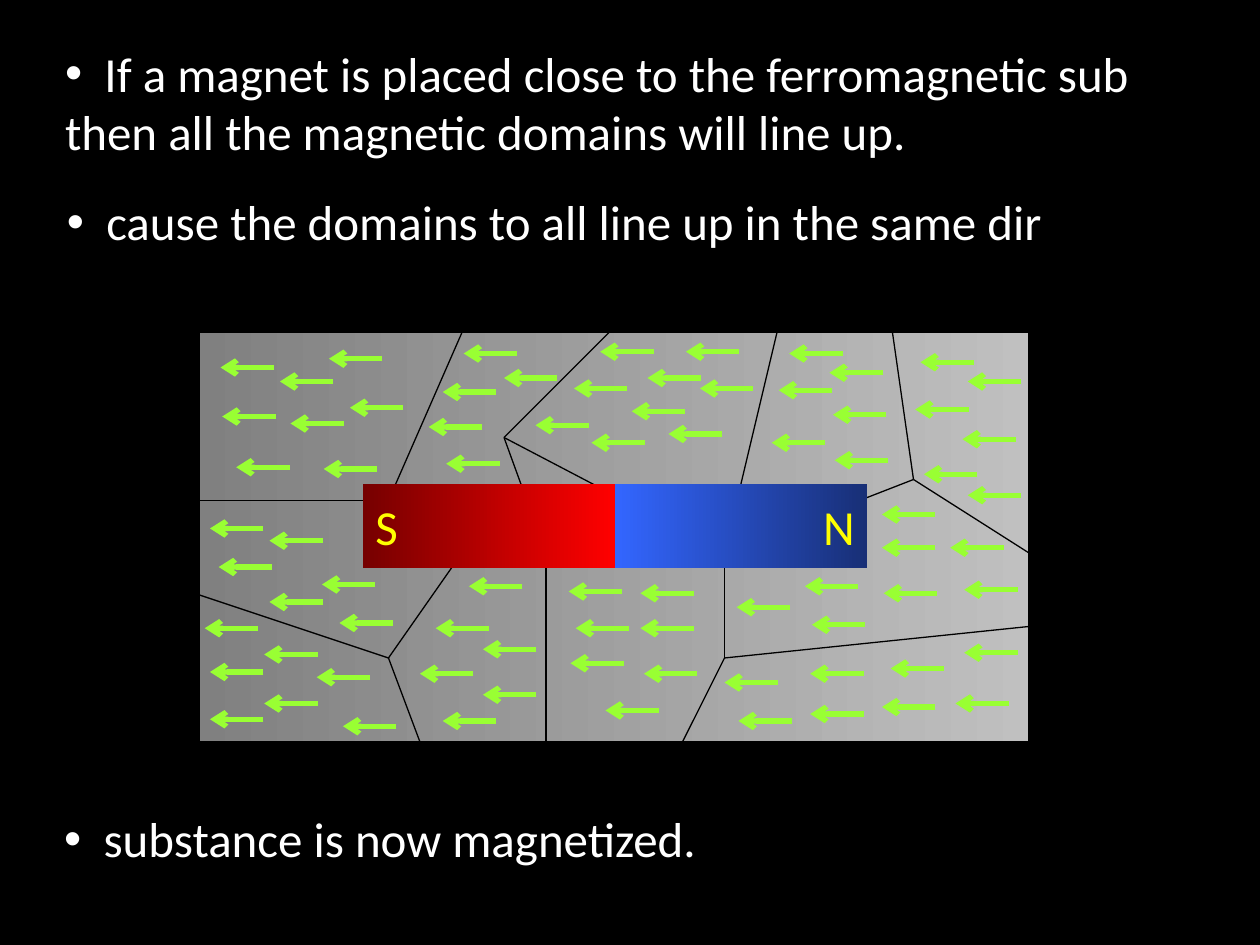
from lxml.etree import SubElement
from pptx import Presentation
from pptx.dml.color import RGBColor
from pptx.enum.shapes import MSO_CONNECTOR, MSO_SHAPE
from pptx.enum.text import MSO_ANCHOR, MSO_AUTO_SIZE, PP_ALIGN
from pptx.oxml.ns import qn
from pptx.util import Pt

FONT = "Calibri"
TEXT_SIZE = 28
BULLET_INDENT = 22.5
ARROW_LENGTH = 30.5

STATEMENTS = [
    ((30, 21, 648, 75), ["If a magnet is placed close to the ferromagnetic sub",
                         "then all the magnetic domains will line up."]),
    ((31, 106, 576, 41), ["cause the domains to all line up in the same dir"]),
    ((29.5, 458.5, 385, 41), ["substance is now magnetized."]),
]

SUBSTANCE = ((114, 190, 474, 234), ("808080", "C0C0C0"))
DOMAIN_WALLS = [
    [(264, 190), (222, 286), (114, 286)],
    [(222, 286), (264, 316), (222, 376), (114, 340)],
    [(222, 376), (240, 424)],
    [(264, 316), (312, 316), (312, 424)],
    [(312, 316), (288, 250), (348, 190)],
    [(288, 250), (414, 316), (414, 376), (390, 424)],
    [(444, 190), (414, 316), (522, 274), (588, 316)],
    [(510, 190), (522, 274)],
    [(414, 376), (588, 358)],
]
ARROW_TIPS = [
    (126, 210), (160, 218), (127, 238), (200, 233), (188, 205), (135, 267),
    (166, 242), (185, 268), (265, 202), (255, 265), (245, 244), (253, 224),
    (288, 216), (343, 201), (328, 222), (392, 201), (370, 216), (306, 243),
    (361, 235), (338, 253), (382, 248), (400, 222), (451, 202), (445, 223),
    (476, 237), (441, 253), (474, 213), (477, 263), (526, 207), (523, 234),
    (550, 251), (553, 218), (528, 271), (553, 283), (504, 294), (543, 313),
    (504, 313), (551, 337), (505, 339), (460, 335), (421, 347), (464, 357),
    (551, 373), (509, 382), (463, 385), (414, 390), (422, 412), (463, 408),
    (504, 404), (546, 402), (325, 338), (366, 339), (329, 359), (366, 359),
    (326, 379), (368, 385), (346, 406), (268, 335), (249, 359), (276, 371),
    (240, 385), (276, 397), (253, 412), (196, 415), (117, 359), (151, 374),
    (120, 384), (181, 387), (151, 402), (120, 411), (120, 302), (125, 324),
    (154, 344), (154, 309), (184, 334), (194, 356),
]
POLES = [
    ("N", (351.5, 276.5, 144, 48), ("3366FF", "182F76"), PP_ALIGN.RIGHT),
    ("S", (207.5, 276.5, 144, 48), ("760000", "FF0000"), PP_ALIGN.LEFT),
]


def color(value):
    return RGBColor.from_string(value)


def add_text(paragraph, text, text_color):
    run = paragraph.add_run()
    run.text = text
    run.font.name = FONT
    run.font.size = Pt(TEXT_SIZE)
    run.font.bold = False
    run.font.color.rgb = color(text_color)


def add_gradient_box(shapes, box, colors):
    shape = shapes.add_shape(MSO_SHAPE.RECTANGLE, *map(Pt, box))
    shape.shadow.inherit = False
    shape.fill.gradient()
    shape.fill.gradient_angle = 0
    for stop, value in zip(shape.fill.gradient_stops, colors):
        stop.color.rgb = color(value)
    shape.line.fill.background()
    return shape


def add_line(shapes, start, end, line_color, width):
    line = shapes.add_connector(MSO_CONNECTOR.STRAIGHT, *map(Pt, start + end))
    line.line.color.rgb = color(line_color)
    line.line.width = Pt(width)
    SubElement(line._element.spPr, qn("a:effectLst"))
    return line


def set_bullet(paragraph, bulleted):
    properties = paragraph._p.get_or_add_pPr()
    indent = Pt(BULLET_INDENT) if bulleted else 0
    properties.set("marL", str(indent))
    properties.set("indent", str(-indent))
    if bulleted:
        SubElement(properties, qn("a:buFont"), typeface="Arial")
        SubElement(properties, qn("a:buChar"), char="•")
    else:
        SubElement(properties, qn("a:buNone"))


def fill_statement(placeholder, box, lines):
    placeholder.left, placeholder.top, placeholder.width, placeholder.height = map(Pt, box)
    frame = placeholder.text_frame
    frame.word_wrap = True
    frame.auto_size = MSO_AUTO_SIZE.NONE
    frame.vertical_anchor = MSO_ANCHOR.TOP
    for number, text in enumerate(lines):
        paragraph = frame.add_paragraph() if number else frame.paragraphs[0]
        paragraph.space_before = Pt(0)
        set_bullet(paragraph, number == 0)
        add_text(paragraph, text, "FFFFFF")


def add_substance(slide):
    shapes = slide.shapes.add_group_shape().shapes
    panel = add_gradient_box(shapes, *SUBSTANCE)
    panel.line.color.rgb = color("000000")
    panel.line.width = Pt(0.75)
    for wall in DOMAIN_WALLS:
        for start, end in zip(wall, wall[1:]):
            add_line(shapes, start, end, "000000", 0.75)
    for x, y in ARROW_TIPS:
        arrow = add_line(shapes, (x + ARROW_LENGTH, y), (x, y), "99FF33", 3)
        SubElement(arrow.line._get_or_add_ln(), qn("a:tailEnd"), type="arrow")


def add_magnet(slide):
    shapes = slide.shapes.add_group_shape().shapes
    for letter, box, colors, alignment in POLES:
        pole = add_gradient_box(shapes, box, colors)
        pole.text_frame.vertical_anchor = MSO_ANCHOR.MIDDLE
        paragraph = pole.text_frame.paragraphs[0]
        paragraph.alignment = alignment
        add_text(paragraph, letter, "FFFF00")


def main():
    presentation = Presentation()
    presentation.slide_width, presentation.slide_height = Pt(720), Pt(540)
    slide = presentation.slides.add_slide(presentation.slide_layouts.get_by_name("Comparison"))
    slide.background.fill.solid()
    slide.background.fill.fore_color.rgb = color("000000")
    title, *bodies = slide.placeholders
    for placeholder, (box, lines) in zip(bodies, STATEMENTS):
        fill_statement(placeholder, box, lines)
    for unused in [title] + bodies[len(STATEMENTS):]:
        unused._element.getparent().remove(unused._element)
    add_substance(slide)
    add_magnet(slide)
    presentation.save("out.pptx")


if __name__ == "__main__":
    main()
